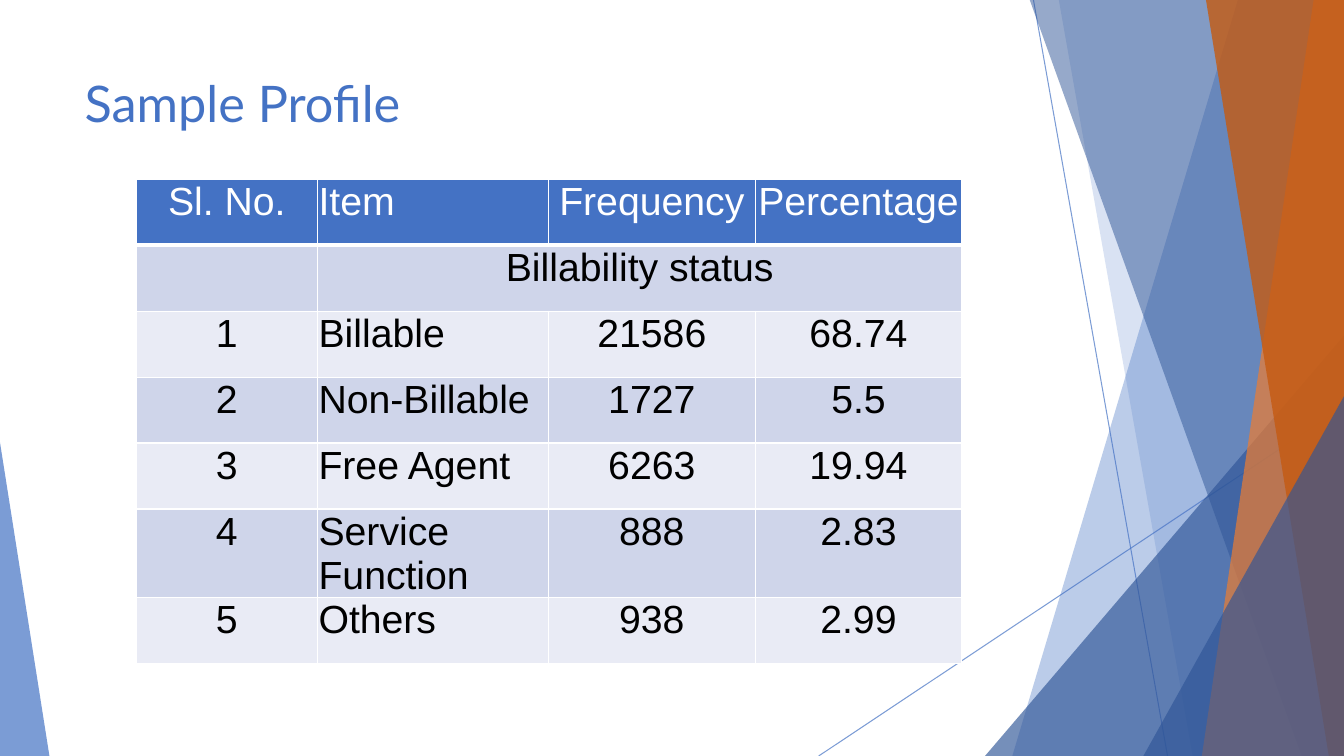
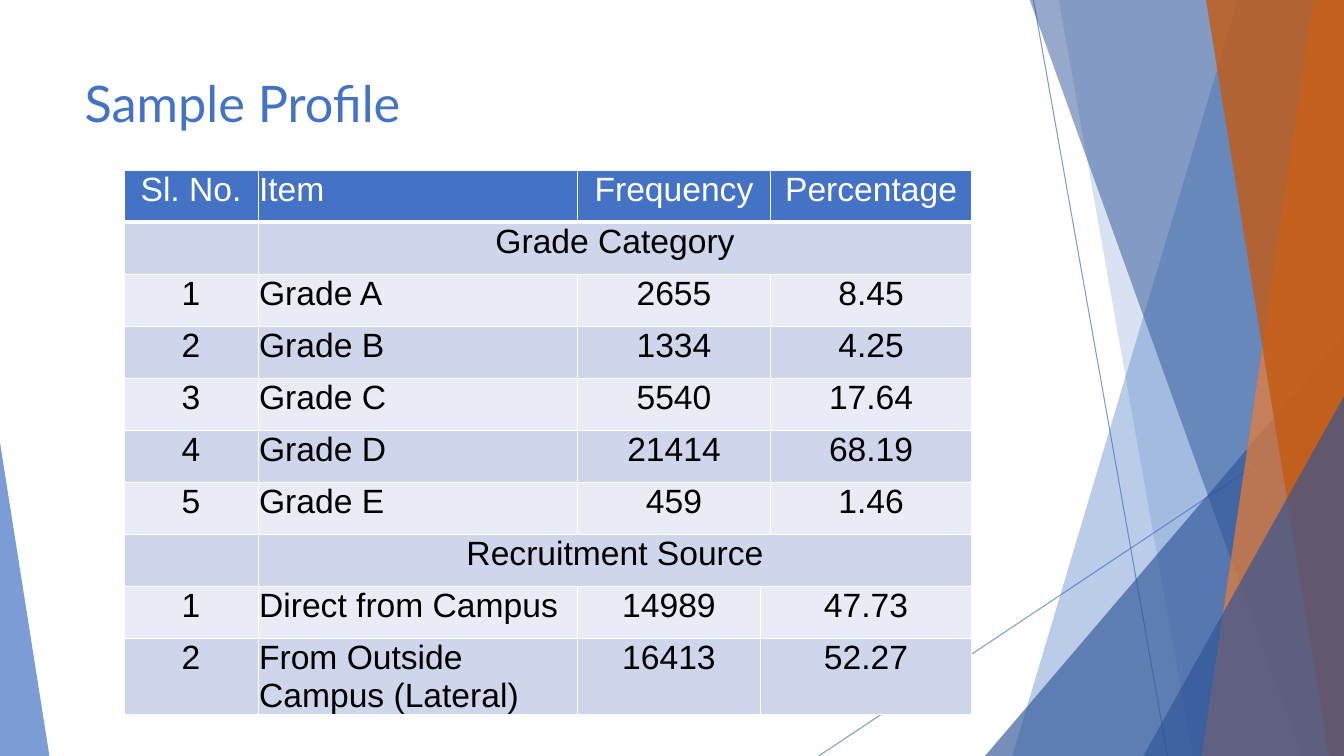
from lxml.etree import SubElement
from pptx import Presentation
from pptx.dml.color import RGBColor
from pptx.enum.shapes import MSO_CONNECTOR, MSO_SHAPE
from pptx.enum.text import MSO_ANCHOR, PP_ALIGN
from pptx.oxml.ns import qn
from pptx.util import Inches, Pt

BLUE, NAVY, ORANGE, RUST = "4472C4", "2F5597", "ED7D31", "C55A11"
WHITE, BLACK = "FFFFFF", "000000"
BANDS = ["E9EBF5", "CFD5EA"]
SLIDE_WIDTH, SLIDE_HEIGHT = 13.33, 7.5

RAYS = [((10.25, 0), (11.58, 7.5)), ((13.33, 4.03), (8.12, 7.5))]
# kind, geometry, colour, opacity
FACETS = [
    ("band", (12.28, 13.33, 13.33, 10.04), BLUE, 36),
    ("band", (10.5, 13.33, 13.33, 11.83), BLUE, 20),
    ("triangle", (9.77, 3.33, 1), NAVY, 66),
    ("band", (10.21, 13.33, 13.33, 12.91), NAVY, 50),
    ("band", (13.03, 13.33, 13.33, 11.92), ORANGE, 70),
    ("band", (11.96, 13.33, 13.33, 13.18), RUST, 80),
    ("triangle", (11.34, 3.93, 1), NAVY, 66),
    ("triangle", (0, 4.39, 0), BLUE, 70),
]
LEFT_TRIANGLE_WIDTH = 0.49

PAGES = [
    {
        "title": "Sample Profile",
        "at": (1.35, 1.78),
        "height": 4.58,
        "size": 28,
        "columns": [1.8, 2.29, 2.05, 2.05],
        "rows": [
            ("Sl. No.", "Item", "Frequency", "Percentage"),
            ("", "Billability status", None, None),
            ("1", "Billable", "21586", "68.74"),
            ("2", "Non-Billable", "1727", "5.5"),
            ("3", "Free Agent", "6263", "19.94"),
            ("4", "Service Function", "888", "2.83"),
            ("5", "Others", "938", "2.99"),
        ],
    },
    {
        "title": "Sample Profile",
        "at": (1.23, 1.69),
        "height": 5.16,
        "size": 24,
        "columns": [1.33, 3.17, 1.81, 0.1, 2],
        "rows": [
            ("Sl. No.", "Item", "Frequency", None, "Percentage"),
            ("", "Grade Category", None, None, None),
            ("1", "Grade A", "2655", None, "8.45"),
            ("2", "Grade B", "1334", None, "4.25"),
            ("3", "Grade C", "5540", None, "17.64"),
            ("4", "Grade D", "21414", None, "68.19"),
            ("5", "Grade E", "459", None, "1.46"),
            ("", "Recruitment Source", None, None, None),
            ("1", "Direct from Campus", "14989", "47.73", None),
            ("2", "From Outside Campus (Lateral)", "16413", "52.27", None),
        ],
    },
]


def paint(fill, colour, opacity=100):
    fill.solid()
    fill.fore_color.rgb = RGBColor.from_string(colour)
    if opacity < 100:
        for tint in fill._xPr.iter(qn("a:srgbClr")):
            SubElement(tint, qn("a:alpha"), val=str(opacity * 1000))


def add_ray(page, start, end):
    ray = page.shapes.add_connector(
        MSO_CONNECTOR.STRAIGHT, *[Inches(value) for value in start + end])
    ray.line.width = Pt(0.75)
    paint(ray.line.fill, BLUE, 70)
    SubElement(ray.element.spPr, qn("a:effectLst"))
    return ray


def add_facet(page, kind, geometry, colour, opacity):
    if kind == "band":
        corners = [(Inches(x), Inches(y))
                   for x, y in zip(geometry, (-0.01, -0.01, SLIDE_HEIGHT, SLIDE_HEIGHT))]
        builder = page.shapes.build_freeform(*corners[0], scale=1.0)
        builder.add_line_segments(corners[1:], close=True)
        facet = builder.convert_to_shape()
    else:
        left, top, apex = geometry
        width = SLIDE_WIDTH - left if left else LEFT_TRIANGLE_WIDTH
        facet = page.shapes.add_shape(
            MSO_SHAPE.ISOSCELES_TRIANGLE, Inches(left), Inches(top),
            Inches(width), Inches(SLIDE_HEIGHT - top))
        facet.adjustments[0] = apex
    facet.shadow.inherit = False
    paint(facet.fill, colour, opacity)
    facet.line.fill.background()
    return facet


def decorate(layout, page):
    parts = [add_ray(page, *ray) for ray in RAYS]
    parts += [add_facet(page, *facet) for facet in FACETS]
    for index, part in enumerate(parts):
        part.element.xpath(".//p:cNvPr")[0].set("id", str(100 + index))
        layout.shapes.element.insert(2 + index, part.element)


def set_title(page, text):
    title = page.shapes.title
    title.left, title.top = Inches(0.74), Inches(0.67)
    title.width, title.height = Inches(9.4), Inches(1.44)
    title.text_frame.text = text
    title.text_frame.vertical_anchor = MSO_ANCHOR.TOP
    paragraph = title.text_frame.paragraphs[0]
    paragraph.alignment = PP_ALIGN.LEFT
    set_font(paragraph, "Lato", 36, BLUE)


def set_font(paragraph, name, size, colour):
    font = paragraph.font
    font.name, font.size, font.bold = name, Pt(size), False
    font.color.rgb = RGBColor.from_string(colour)


def set_borders(cell, header):
    properties = cell._tc.get_or_add_tcPr()
    for index, side in enumerate(("lnL", "lnR", "lnT", "lnB")):
        width = 3 if header and side == "lnB" else 1
        line = properties.makeelement(qn(f"a:{side}"), {"w": str(Pt(width))})
        properties.insert(index, line)
        solid = SubElement(line, qn("a:solidFill"))
        SubElement(solid, qn("a:srgbClr"), val=WHITE)


def format_cell(cell, text, size, header, fill, alignment):
    cell.margin_left = cell.margin_right = cell.margin_top = Inches(0.01)
    cell.margin_bottom = 0
    cell.text = text
    paragraph = cell.text_frame.paragraphs[0]
    paragraph.alignment = alignment
    set_font(paragraph, "Arial", size, WHITE if header else BLACK)
    paint(cell.fill, fill)
    set_borders(cell, header)


def add_profile_table(page, content):
    rows, columns = content["rows"], content["columns"]
    left, top = content["at"]
    table = page.shapes.add_table(
        len(rows), len(columns), Inches(left), Inches(top),
        Inches(sum(columns)), Inches(content["height"])).table
    for column, width in zip(table.columns, columns):
        column.width = Inches(width)
    for row, texts in enumerate(rows):
        header = row == 0
        fill = BLUE if header else BANDS[row % 2]
        for column, text in enumerate(texts):
            is_item = column == 1 and texts[0] != ""
            alignment = PP_ALIGN.LEFT if is_item else PP_ALIGN.CENTER
            format_cell(table.cell(row, column), text or "", content["size"],
                        header, fill, alignment)
        starts = [column for column, text in enumerate(texts) if text is not None]
        for start, following in zip(starts, starts[1:] + [len(texts)]):
            if following - start > 1:
                table.cell(row, start).merge(table.cell(row, following - 1))


def main():
    deck = Presentation()
    deck.slide_width, deck.slide_height = Inches(SLIDE_WIDTH), Inches(SLIDE_HEIGHT)
    layout = deck.slide_layouts.get_by_name("Title Only")
    pages = [deck.slides.add_slide(layout) for _ in PAGES]
    decorate(layout, pages[0])
    for page, content in zip(pages, PAGES):
        set_title(page, content["title"])
        add_profile_table(page, content)
    deck.save("out.pptx")


if __name__ == "__main__":
    main()
